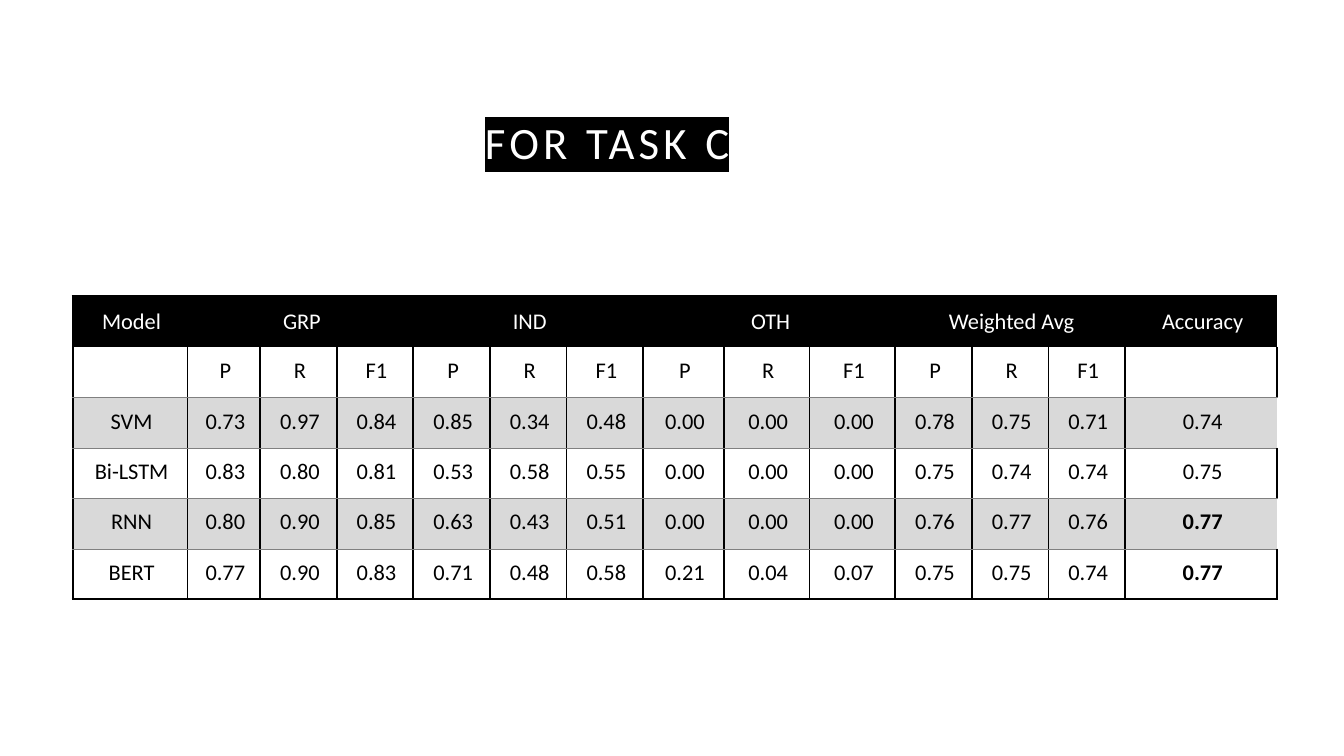
from dataclasses import dataclass

from lxml.etree import SubElement
from pptx import Presentation
from pptx.dml.color import RGBColor
from pptx.enum.text import MSO_ANCHOR, MSO_AUTO_SIZE, PP_ALIGN
from pptx.oxml import parse_xml
from pptx.oxml.ns import nsdecls, qn
from pptx.slide import Slide
from pptx.table import Table, _Cell
from pptx.text.text import _Paragraph, _Run
from pptx.util import Inches, Pt


@dataclass(frozen=True)
class Theme:
    font: str = "Calibri"
    black: str = "000000"
    white: str = "FFFFFF"
    band: str = "D9D9D9"
    rule: str = "808080"
    title_size: int = 32
    cell_size: int = 16
    title_spacing: int = 3
    plain_table: str = "{2D5ABB26-0587-4C30-8999-92F81FD0307C}"


@dataclass(frozen=True)
class Line:
    color: str
    width: float


@dataclass(frozen=True)
class Result:
    model: str
    scores: str
    accuracy: str
    best: bool = False


THEME = Theme()
THICK = Line(THEME.black, 1.5)
THIN = Line(THEME.rule, 0.5)

GROUPS = ["GRP", "IND", "OTH", "Weighted Avg"]
METRICS = ["P", "R", "F1"]
RESULTS = [
    Result("SVM", "0.73 0.97 0.84 0.85 0.34 0.48 0.00 0.00 0.00 0.78 0.75 0.71", "0.74"),
    Result("Bi-LSTM", "0.83 0.80 0.81 0.53 0.58 0.55 0.00 0.00 0.00 0.75 0.74 0.74", "0.75"),
    Result("RNN", "0.80 0.90 0.85 0.63 0.43 0.51 0.00 0.00 0.00 0.76 0.77 0.76", "0.77", True),
    Result("BERT", "0.77 0.90 0.83 0.71 0.48 0.58 0.21 0.04 0.07 0.75 0.75 0.74", "0.77", True),
]
COL_WIDTHS = [1.14, 0.72, *[0.76] * 5, 0.8, 0.85, 0.85, *[0.76] * 3, 1.51]
ROW_HEIGHT = 0.5
LAST_COL = len(COL_WIDTHS) - 1
LAST_ROW = len(RESULTS) + 1


def add_run(p: _Paragraph, text: str, size: int, color: str, bold: bool = False) -> _Run:
    r = p.add_run()
    r.text = text
    r.font.name = THEME.font
    r.font.size = Pt(size)
    r.font.bold = bold
    r.font.color.rgb = RGBColor.from_string(color)
    return r


def add_title(s: Slide, text: str) -> None:
    sp = s.shapes.title
    sp.left, sp.top = Inches(4.71), Inches(0.84)
    sp.width, sp.height = Inches(10.43), Inches(1.03)
    tf = sp.text_frame
    tf.auto_size = MSO_AUTO_SIZE.NONE
    tf.vertical_anchor = MSO_ANCHOR.MIDDLE
    p = tf.paragraphs[0]
    p.alignment = PP_ALIGN.LEFT
    p.line_spacing = 1.2
    r = add_run(p, text, THEME.title_size, THEME.white)
    rPr = r.font._element
    rPr.set("spc", str(THEME.title_spacing * 100))
    rPr.find(qn("a:solidFill")).addnext(parse_xml(
        f'<a:highlight {nsdecls("a")}><a:srgbClr val="{THEME.black}"/></a:highlight>'))


def set_borders(cell: _Cell, borders: dict[str, Line]) -> None:
    """Draw the sides named L, R, T and B; call before the cell is filled."""
    tcPr = cell._tc.get_or_add_tcPr()
    for side in "LRTB":
        if side in borders:
            line = borders[side]
            ln = SubElement(tcPr, qn(f"a:ln{side}"), w=str(Pt(line.width)))
            fill = SubElement(ln, qn("a:solidFill"))
            SubElement(fill, qn("a:srgbClr"), val=line.color)


def borders_for(row: int, col: int) -> dict[str, Line]:
    if row == 0:
        return {"L": THICK, "T": THICK} if col == 0 else {"T": THICK}
    if row % 2 == 0 and row != LAST_ROW:
        sides = {"L": THICK, "T": THIN}
        return sides if col == LAST_COL else sides | {"R": THICK}
    return {"L": THICK, "R": THICK, "B": THICK if row == LAST_ROW else THIN}


def fill_cell(cell: _Cell, row: int, col: int, text: str, bold: bool) -> None:
    header = row == 0
    set_borders(cell, borders_for(row, col))
    if header or (row % 2 == 0):
        cell.fill.solid()
        cell.fill.fore_color.rgb = RGBColor.from_string(THEME.black if header else THEME.band)
    else:
        cell.fill.background()
    cell.margin_left = Inches(0.13)
    cell.margin_right = cell.margin_top = cell.margin_bottom = Inches(0.1)
    cell.vertical_anchor = MSO_ANCHOR.MIDDLE if header else MSO_ANCHOR.TOP
    p = cell.text_frame.paragraphs[0]
    p.alignment = PP_ALIGN.CENTER
    if text:
        add_run(p, text, THEME.cell_size, THEME.white if header else THEME.black, bold)


def table_rows() -> list[list[str]]:
    heads = [text for group in GROUPS for text in (group, "", "")]
    return [
        ["Model", *heads, "Accuracy"],
        ["", *METRICS * len(GROUPS), ""],
        *[[res.model, *res.scores.split(), res.accuracy] for res in RESULTS],
    ]


def add_results_table(s: Slide) -> Table:
    rows = table_rows()
    frame = s.shapes.add_table(
        len(rows), len(COL_WIDTHS), Inches(0.72), Inches(2.94),
        Inches(sum(COL_WIDTHS)), Inches(ROW_HEIGHT * len(rows)))
    table = frame.table
    table.first_row = table.horz_banding = False
    table._tbl.tblPr.find(qn("a:tableStyleId")).text = THEME.plain_table
    for column, width in zip(table.columns, COL_WIDTHS):
        column.width = Inches(width)
    for i, texts in enumerate(rows):
        table.rows[i].height = Inches(ROW_HEIGHT)
        for j, text in enumerate(texts):
            bold = i > 1 and j == LAST_COL and RESULTS[i - 2].best
            fill_cell(table.cell(i, j), i, j, text, bold)
    span = len(METRICS)
    for first in range(1, LAST_COL, span):
        table.cell(0, first).merge(table.cell(0, first + span - 1))
    return table


def main() -> None:
    prs = Presentation()
    prs.slide_width, prs.slide_height = Inches(13.33), Inches(7.5)
    s = prs.slides.add_slide(prs.slide_layouts.get_by_name("Title Only"))
    add_title(s, "FOR TASK C")
    add_results_table(s)
    prs.save("out.pptx")


if __name__ == "__main__":
    main()
